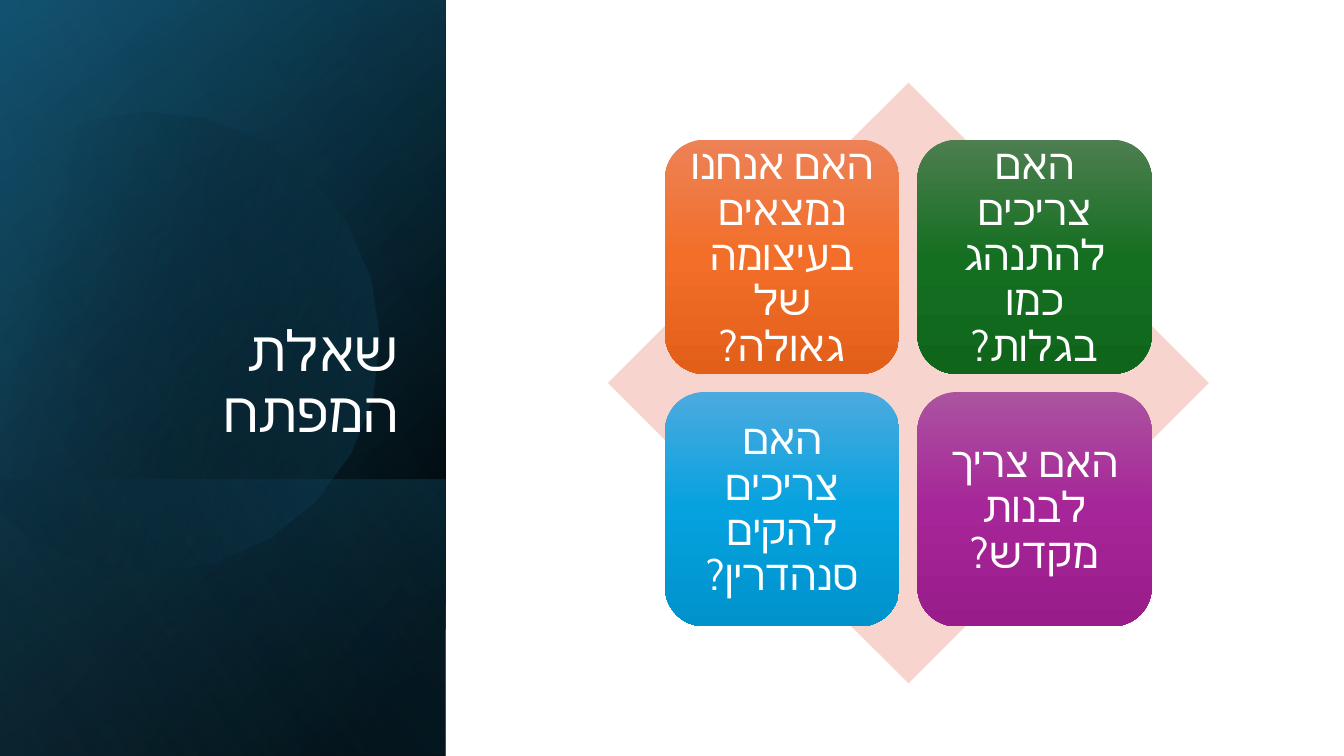
import math
from lxml import etree
from pptx import Presentation, util as u
from pptx.dml.color import RGBColor
from pptx.enum import shapes, text
from pptx.oxml import ns


def paint(shape, stops, angle):
    shape.shadow.inherit = False
    shape.line.fill.background()
    shape.fill.gradient()
    shape.fill.gradient_angle = (360 - angle) % 360
    stop_list = shape._element.spPr.find(ns.qn("a:gradFill")).find(ns.qn("a:gsLst"))
    for old in list(stop_list):
        stop_list.remove(old)
    for position, colour, opacity in stops:
        stop = etree.SubElement(stop_list, ns.qn("a:gs"), pos=str(position * 1000))
        tone = etree.SubElement(stop, ns.qn("a:srgbClr"), val=colour)
        if opacity < 100:
            etree.SubElement(tone, ns.qn("a:alpha"), val=str(opacity * 1000))


def style(para, size, align):
    para.alignment = align
    para.line_spacing = 0.9
    para.font.size = u.Pt(size)
    para.font.name = "Cabin"
    para.font.color.rgb = RGBColor.from_string("FFFFFF")
    etree.SubElement(para.font._element, ns.qn("a:cs"), typeface="Cabin")


deck = Presentation()
deck.slide_width, deck.slide_height = u.Inches(13.33), u.Inches(7.5)
page = deck.slides.add_slide(deck.slide_layouts[5])

PANEL = 4.42
HEIGHT = 7.5
FOOT = 2.74
RADIUS = 2.28
panels = [
    (HEIGHT, [(8, "000000", 100), (100, "104862", 100)], 50),
    (HEIGHT, [(0, "000000", 0), (99, "156082", 46)], 30),
    (FOOT, [(2, "156082", 29), (100, "000000", 30)], 130),
    (None, [(29, "000000", 0), (100, "156082", 43)], 30),
    (HEIGHT, [(0, "000000", 0), (99, "46B1E1", 11)], 120),
]
for depth, stops, angle in panels:
    if depth:
        panel = page.shapes.add_shape(
            shapes.MSO_SHAPE.RECTANGLE,
            u.Inches((PANEL - depth) / 2), u.Inches(HEIGHT - (depth + PANEL) / 2),
            u.Inches(depth), u.Inches(PANEL))
        panel.rotation = 90
        panel._element.spPr.find(ns.qn("a:xfrm")).set("flipH", "1")
    else:
        turns = [math.radians(degrees) for degrees in range(-120, 151, 15)]
        arc = [(u.Inches(1.48 + RADIUS * math.cos(turn)), u.Inches(3.35 + RADIUS * math.sin(turn)))
               for turn in turns]
        outline = page.shapes.build_freeform(*arc[0])
        outline.add_line_segments(arc[1:], close=True)
        panel = outline.convert_to_shape()
        panel.rotation = 343.9
    paint(panel, stops, angle)

title = page.shapes.title
page.shapes._spTree.append(title._element)
title.left, title.top, title.width, title.height = [u.Inches(n) for n in (0.64, 1.84, 3.41, 2.62)]
title.text_frame.text = "שאלת המפתח"
title.text_frame.word_wrap = True
title.text_frame.auto_size = text.MSO_AUTO_SIZE.NONE
title.text_frame.vertical_anchor = text.MSO_ANCHOR.BOTTOM
style(title.text_frame.paragraphs[0], 40, text.PP_ALIGN.RIGHT)

LEFT, TOP, SIDE = 6.03, 0.82, 5.96
MARGIN, TILE, PITCH = [SIDE * share for share in (0.095, 0.39, 0.42)]
matrix = page.shapes.add_group_shape()
diamond = matrix.shapes.add_shape(
    shapes.MSO_SHAPE.DIAMOND, u.Inches(LEFT), u.Inches(TOP), u.Inches(SIDE), u.Inches(SIDE))
diamond.shadow.inherit = False
diamond.fill.solid()
diamond.fill.fore_color.rgb = RGBColor.from_string("F7D5CE")
diamond.line.fill.background()

questions = [
    ("האם אנחנו נמצאים בעיצומה של גאולה?", ("ED8257", "F26E29", "E25F1A")),
    ("האם צריכים להתנהג כמו בגלות?", ("4D7E50", "156F21", "0F661B")),
    ("האם צריכים להקים סנהדרין?", ("4CAADF", "05A2DF", "0092CB")),
    ("האם צריך לבנות מקדש?", ("AC53A0", "A62598", "991C8B")),
]
for index, (question, colours) in enumerate(questions):
    row, column = divmod(index, 2)
    tile = matrix.shapes.add_shape(
        shapes.MSO_SHAPE.ROUNDED_RECTANGLE,
        u.Inches(LEFT + MARGIN + column * PITCH), u.Inches(TOP + MARGIN + row * PITCH),
        u.Inches(TILE), u.Inches(TILE))
    paint(tile, [(50 * step, colour, 100) for step, colour in enumerate(colours)], 90)
    frame = tile.text_frame
    frame.text = question
    frame.word_wrap = True
    frame.vertical_anchor = text.MSO_ANCHOR.MIDDLE
    frame.margin_left = frame.margin_right = frame.margin_top = frame.margin_bottom = u.Inches(0.12)
    para = frame.paragraphs[0]
    style(para, 30, text.PP_ALIGN.CENTER)
    para._p.get_or_add_pPr().set("rtl", "1")

deck.save("out.pptx")
